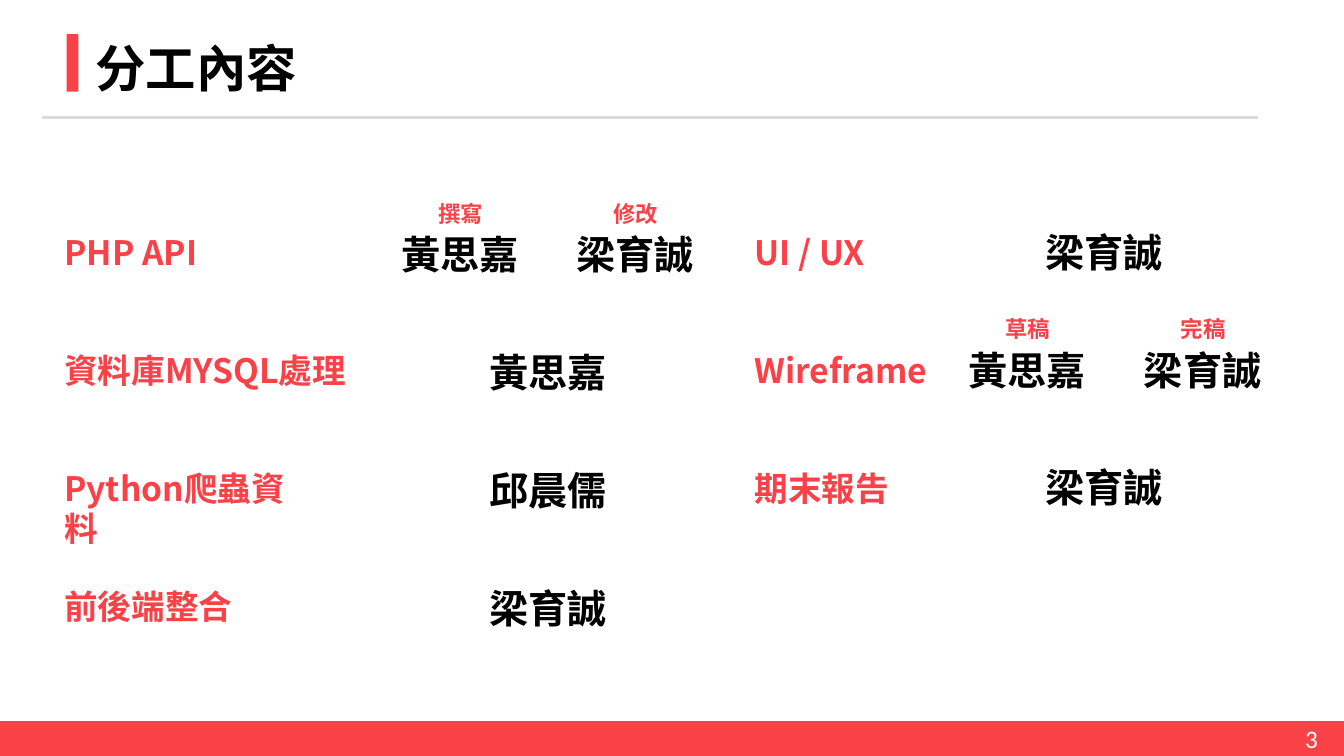
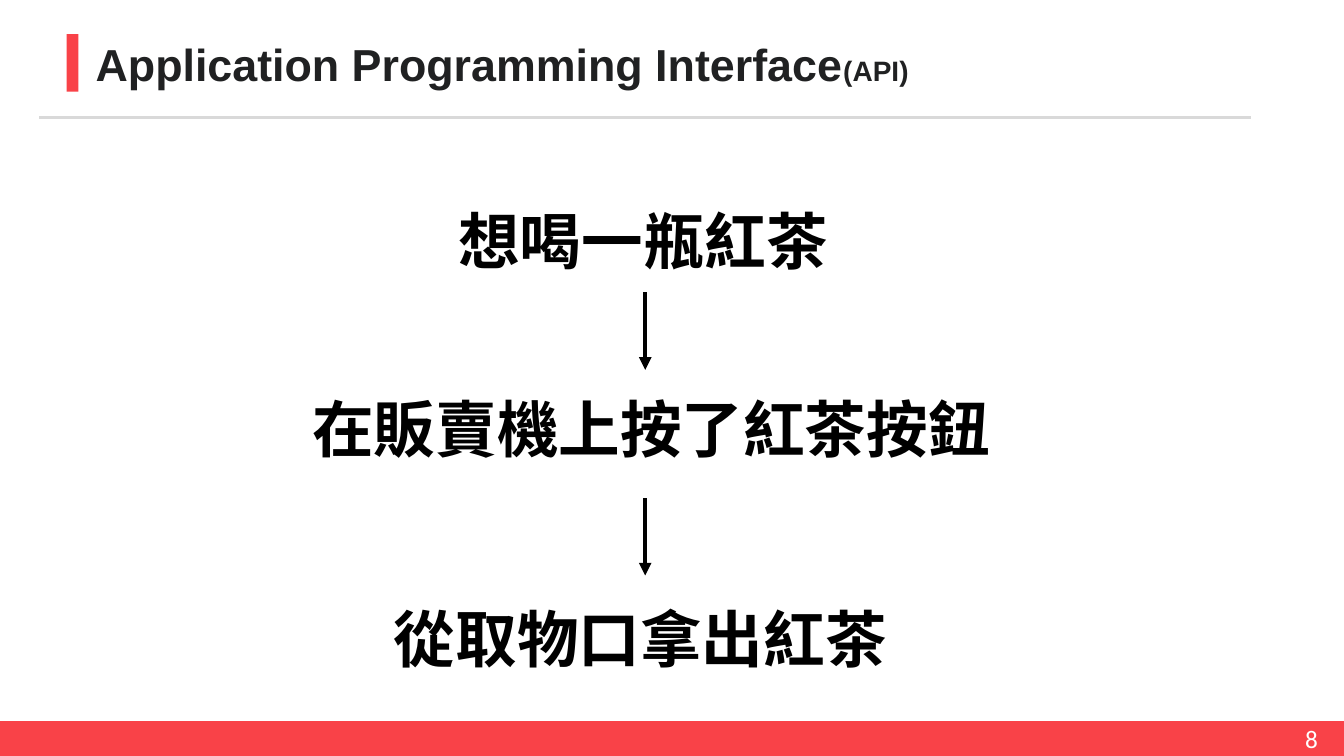
from pptx import Presentation
from pptx.dml.color import RGBColor
from pptx.enum import shapes, text
from pptx.oxml import ns
from pptx.util import Cm, Pt
from lxml import etree

RED, BLACK, INK, GREY, WHITE = "F94248", "000000", "202122", "D9D9D9", "FFFFFF"
HAN, LATIN, DIGIT = "Noto Sans CJK SC", "Arial", "Calibri"
WIDE, HIGH = 33.87, 19.05


def rgb(code):
    return RGBColor.from_string(code)


def style(run, size, color, font, bold=True):
    run.font.size, run.font.bold, run.font.name = Pt(size), bold, font
    run.font.color.rgb = rgb(color)
    east = etree.SubElement(run.font._element, ns.qn("a:ea"))
    east.set("typeface", font)


def write(slide, words, box, size, color=BLACK, font=HAN, bold=True):
    """Add a text box that grows with its text; return its paragraph."""
    frame = slide.shapes.add_textbox(*map(Cm, box)).text_frame
    frame.word_wrap = True
    frame.auto_size = text.MSO_AUTO_SIZE.SHAPE_TO_FIT_TEXT
    frame.text = words
    style(frame.paragraphs[0].runs[0], size, color, font, bold)
    return frame.paragraphs[0]


def block(slide, box):
    shape = slide.shapes.add_shape(shapes.MSO_SHAPE.RECTANGLE, *map(Cm, box))
    shape.shadow.inherit = False
    shape.fill.solid()
    shape.fill.fore_color.rgb = rgb(RED)
    shape.line.fill.background()
    return shape


def rule(slide, ends, color, width, arrow=False):
    line = slide.shapes.add_connector(shapes.MSO_CONNECTOR.STRAIGHT, *map(Cm, ends))
    line.line.color.rgb = rgb(color)
    line.line.width = Pt(width)
    if arrow:
        tip = etree.SubElement(line.line._get_or_add_ln(), ns.qn("a:tailEnd"))
        tip.set("type", "triangle")
    etree.SubElement(line._element.spPr, ns.qn("a:effectLst"))


def page(deck, number, left, right):
    """Add a slide with the title bar, rule and footer."""
    slide = deck.slides.add_slide(deck.slide_layouts[6])
    block(slide, (1.68, 0.86, 0.3, 1.45))
    rule(slide, (left, 2.97, right, 2.97), GREY, 2.25)
    band = block(slide, (0, 18.19, WIDE, 0.86))
    band.line.color.rgb = rgb(RED)
    band.line.width = Pt(1)
    write(slide, number, (32.64, 18.11, 0.86, 1.02), 18, WHITE, DIGIT, False)
    return slide


def title(slide, words, size, color, font):
    return write(slide, words, (2.16, 0.81, 22, 1.7), size, color, font)


def person(slide, name, x, y, role=None):
    write(slide, name, (x, y, 3.53, 1.45), 28)
    if role:
        write(slide, role, (x + 0.93, y - 0.77, 1.68, 0.94), 16, RED)


def column(slide, tasks, x, top, step, alone, pair):
    """List tasks from x; alone and pair are the left edges of the names."""
    for row, (task, width, people) in enumerate(tasks):
        write(slide, task, (x, 5.72 + 2.97 * row, width, 1.27), 24, RED)
        start = pair if len(people) > 1 else alone
        for i, (name, role) in enumerate(people):
            person(slide, name, start + 4.42 * i, top + step * row, role)


def duties(deck):
    slide = page(deck, "3", 1.07, 31.7)
    title(slide, "分工內容", 36, BLACK, HAN)
    huang, liang, chiu = "黃思嘉", "梁育誠", "邱晨儒"
    column(slide, [
        ("PHP API", 6.88, [(huang, "撰寫"), (liang, "修改")]),
        ("資料庫MYSQL處理", 7.9, [(huang, None)]),
        ("Python爬蟲資料", 6.88, [(chiu, None)]),
        ("前後端整合", 6.88, [(liang, None)]),
    ], 1.37, 5.69, 2.97, 12.09, 9.86)
    column(slide, [
        ("UI / UX", 5.2, [(liang, None)]),
        ("Wireframe", 5.2, [(huang, "草稿"), (liang, "完稿")]),
        ("期末報告", 5.2, [(liang, None)]),
    ], 18.77, 5.64, 2.95, 26.09, 24.16)


def steps(deck):
    slide = page(deck, "8", 0.99, 31.52)
    line = title(slide, "Application Programming Interface", 32, INK, LATIN)
    short = line.add_run()
    short.text = "(API)"
    style(short, 20, INK, LATIN)
    for words, x, y, width in [
        ("想喝一瓶紅茶", 11.3, 5, 9.9),
        ("在販賣機上按了紅茶按鈕", 7.62, 9.73, 18.64),
        ("從取物口拿出紅茶", 9.68, 15.01, 13.16),
    ]:
        write(slide, words, (x, y, width, 2.13), 44)
    for y in (7.37, 12.55):
        rule(slide, (16.26, y, 16.26, y + 1.95), BLACK, 3, arrow=True)


def main():
    deck = Presentation()
    deck.slide_width, deck.slide_height = Cm(WIDE), Cm(HIGH)
    duties(deck)
    steps(deck)
    deck.save("out.pptx")


if __name__ == "__main__":
    main()
